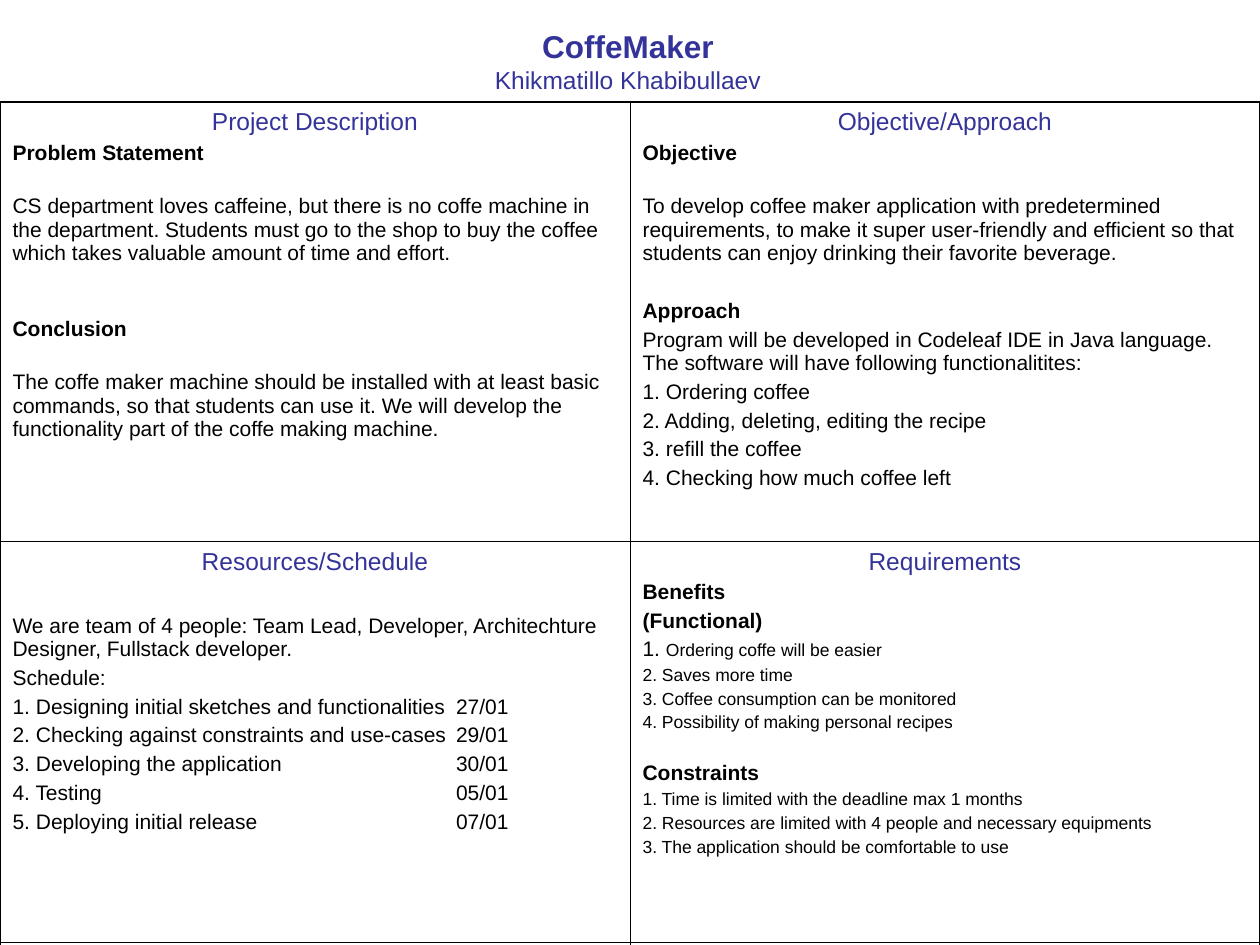
from lxml.etree import SubElement
from pptx import Presentation
from pptx.dml.color import RGBColor
from pptx.enum.text import PP_ALIGN
from pptx.oxml.ns import qn
from pptx.util import Cm, Pt

COLORS = {"navy": "333399", "ink": "000000"}
STYLES = {
    "title": dict(size=18, color="navy", bold=True, align=PP_ALIGN.CENTER),
    "author": dict(size=14, color="navy", align=PP_ALIGN.CENTER),
    "heading": dict(size=14, color="navy", align=PP_ALIGN.CENTER, before=3.5),
    "label": dict(size=12, bold=True, before=3),
    "body": dict(size=12, before=3),
    "dated": dict(size=12, before=3, tab=8.94),
    "item": dict(size=10, before=2.5),
}

HEADER = [("title", "CoffeMaker"), ("author", "Khikmatillo Khabibullaev")]

DESCRIPTION = [
    ("heading", "Project Description"),
    ("label", "Problem Statement"),
    ("body", "CS department loves caffeine, but there is no coffe machine in the department. "
             "Students must go to the shop to buy the coffee which takes valuable amount of "
             "time and effort.", dict(before=17)),
    ("label", "Conclusion", dict(before=30)),
    ("body", "The coffe maker machine should be installed with at least basic commands, "
             "so that students can use it. We will develop the functionality part of the "
             "coffe making machine.", dict(before=17)),
]
APPROACH = [
    ("heading", "Objective/Approach"),
    ("label", "Objective"),
    ("body", "To develop coffee maker application with predetermined requirements, to make "
             "it super user-friendly and efficient so that students can enjoy drinking "
             "their favorite beverage.", dict(before=17)),
    ("label", "Approach", dict(before=19.5)),
    ("body", "Program will be developed in Codeleaf IDE in Java language. "
             "The software will have following functionalitites:"),
    ("body", "1. Ordering coffee"),
    ("body", "2. Adding, deleting, editing the recipe"),
    ("body", "3. refill the coffee"),
    ("body", "4. Checking how much coffee left"),
]
SCHEDULE = [
    ("heading", "Resources/Schedule"),
    ("body", "We are team of 4 people: Team Lead, Developer, Architechture Designer, "
             "Fullstack developer.", dict(before=22)),
    ("body", "Schedule:"),
    ("dated", "1. Designing initial sketches and functionalities\t27/01"),
    ("dated", "2. Checking against constraints and use-cases\t29/01"),
    ("dated", "3. Developing the application\t30/01"),
    ("dated", "4. Testing\t05/01"),
    ("dated", "5. Deploying initial release\t07/01"),
]
REQUIREMENTS = [
    ("heading", "Requirements"),
    ("label", "Benefits"),
    ("label", "(Functional)"),
    ("item", "Ordering coffe will be easier", dict(lead="1. ", lead_size=12)),
    ("item", "2. Saves more time"),
    ("item", "3. Coffee consumption can be monitored"),
    ("item", "4. Possibility of making personal recipes"),
    ("label", "Constraints", dict(before=16.5)),
    ("item", "1. Time is limited with the deadline max 1 months"),
    ("item", "2. Resources are limited with 4 people and necessary equipments"),
    ("item", "3. The application should be comfortable to use"),
]
QUADRANTS = [[DESCRIPTION, APPROACH], [SCHEDULE, REQUIREMENTS], [[], []]]

SLIDE_WIDTH, SLIDE_HEIGHT = 25.4, 19.05
GRID_TOP = 2.06
ROW_HEIGHTS = [8.86, 8.08, 8.08]
OUTER, INNER = 1.08, 0.45
VERTICAL_RULES = [OUTER, INNER, OUTER]
HORIZONTAL_RULES = [OUTER, INNER, OUTER, OUTER]


def write(frame, text, *, size, color="ink", bold=False, align=PP_ALIGN.LEFT,
          before=0, tab=None, lead="", lead_size=None):
    paragraph = frame.paragraphs[0]
    if paragraph.runs:
        paragraph = frame.add_paragraph()
    paragraph.alignment = align
    paragraph.space_before = Pt(before)
    if tab:
        stops = SubElement(paragraph._p.get_or_add_pPr(), qn("a:tabLst"))
        SubElement(stops, qn("a:tab"), pos=str(Cm(tab)), algn="l")
    for words, points in ((lead, lead_size), (text, size)):
        if words:
            run = paragraph.add_run()
            run.text = words
            run.font.name = "Arial"
            run.font.size = Pt(points)
            run.font.bold = bold
            run.font.color.rgb = RGBColor.from_string(COLORS[color])


def fill_frame(frame, entries):
    for style, text, *changes in entries:
        write(frame, text, **{**STYLES[style], **(changes[0] if changes else {})})


def draw_borders(cell, row, column):
    widths = {
        "a:lnL": VERTICAL_RULES[column],
        "a:lnR": VERTICAL_RULES[column + 1],
        "a:lnT": HORIZONTAL_RULES[row],
        "a:lnB": HORIZONTAL_RULES[row + 1],
    }
    properties = cell._tc.get_or_add_tcPr()
    for side, width in widths.items():
        line = SubElement(properties, qn(side), w=str(Pt(width)))
        SubElement(SubElement(line, qn("a:solidFill")), qn("a:srgbClr"), val=COLORS["ink"])


def main():
    deck = Presentation()
    deck.slide_width, deck.slide_height = Cm(SLIDE_WIDTH), Cm(SLIDE_HEIGHT)
    slide = deck.slides.add_slide(deck.slide_layouts[6])

    header = slide.shapes.add_textbox(Cm(2.08), Cm(0.43), Cm(21.16), Cm(1.63)).text_frame
    header.word_wrap = True
    fill_frame(header, HEADER)

    grid = slide.shapes.add_table(len(QUADRANTS), 2, Cm(0), Cm(GRID_TOP),
                                  Cm(SLIDE_WIDTH), Cm(sum(ROW_HEIGHTS))).table
    grid.first_row = grid.horz_banding = False
    for row, (height, quadrants) in enumerate(zip(ROW_HEIGHTS, QUADRANTS)):
        grid.rows[row].height = Cm(height)
        for column, entries in enumerate(quadrants):
            cell = grid.cell(row, column)
            draw_borders(cell, row, column)
            cell.fill.background()
            fill_frame(cell.text_frame, entries)

    deck.save("out.pptx")


if __name__ == "__main__":
    main()
